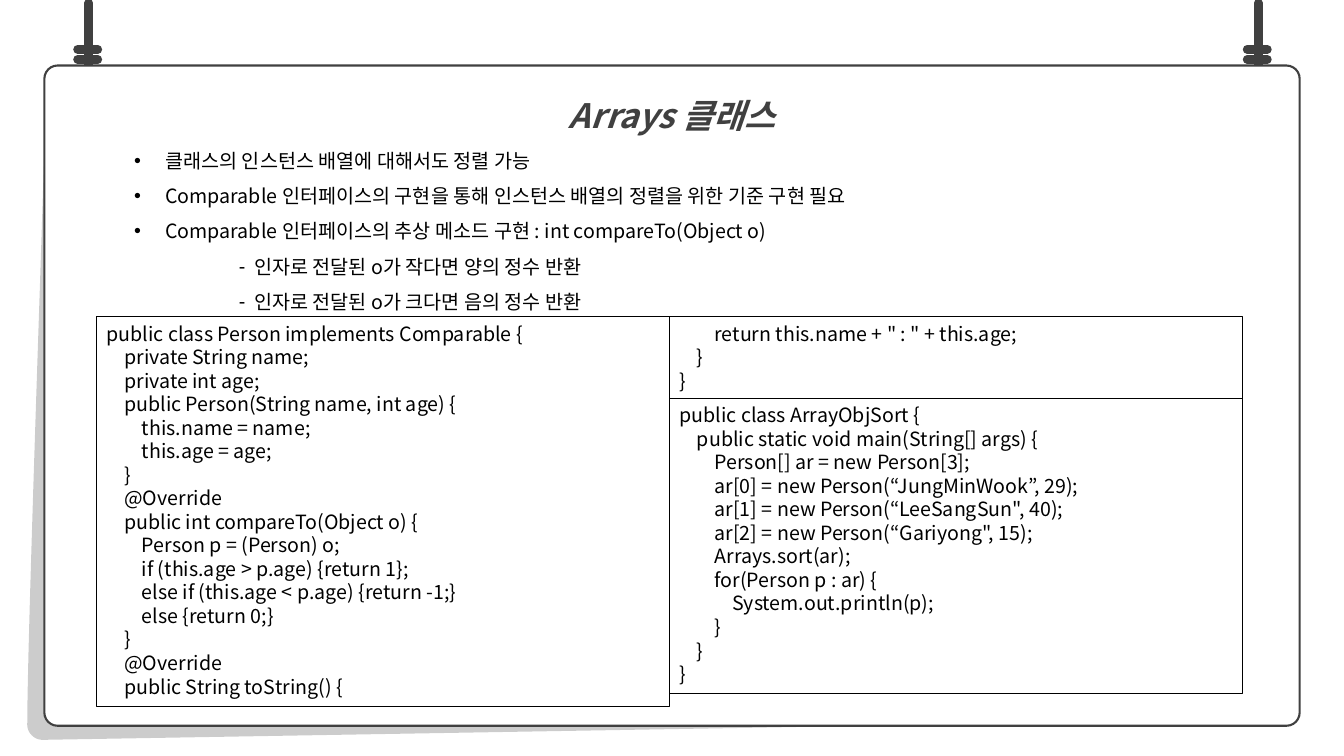
"""Build the slide on sorting arrays of class instances."""
from dataclasses import dataclass

from lxml.etree import SubElement
from pptx import Presentation
from pptx.dml.color import RGBColor
from pptx.enum.shapes import MSO_CONNECTOR, MSO_SHAPE
from pptx.enum.text import MSO_ANCHOR, MSO_AUTO_SIZE, PP_ALIGN
from pptx.oxml.ns import qn
from pptx.util import Emu, Pt

EMU_PER_PX = 9144
BLACK = RGBColor(0x00, 0x00, 0x00)
WHITE = RGBColor(0xFF, 0xFF, 0xFF)
GRAPHITE = RGBColor(0x40, 0x40, 0x40)
FONT = "Noto Sans CJK KR"

TITLE_FORMAT = {"name": FONT, "size": Pt(24), "bold": True, "italic": True}
TEXT_FORMAT = {"name": FONT, "size": Pt(14)}
LIST_SPACING = {"line_spacing": 1.5, "space_before": Pt(0)}
TITLE_SPACING = {**LIST_SPACING, "alignment": PP_ALIGN.CENTER}
CODE_SPACING = {"alignment": PP_ALIGN.LEFT}

ROPE_CENTRES = (88, 1248)
SHADOW_START = (232, 459)
SHADOW_SIDE = ((45, 110), (43, 198), (27, 633), (27, 719))
SHADOW_CORNER = ((27, 719), (27, 727), (34, 734), (42, 734))
SHADOW_TIP = (1275, 713)
CURVE_STEPS = 12

PERSON_CODE = """public class Person implements Comparable {
    private String name;
    private int age;
    public Person(String name, int age) {
        this.name = name;
        this.age = age;
    }
    @Override
    public int compareTo(Object o) {
        Person p = (Person) o;
        if (this.age > p.age) {return 1};
        else if (this.age < p.age) {return -1;}
        else {return 0;}
    }
    @Override
    public String toString() {"""
PERSON_END_CODE = """        return this.name + " : " + this.age;
    }
}"""
SORT_CODE = """public class ArrayObjSort {
    public static void main(String[] args) {
        Person[] ar = new Person[3];
        ar[0] = new Person(“JungMinWook”, 29);
        ar[1] = new Person(“LeeSangSun", 40);
        ar[2] = new Person(“Gariyong", 15);
        Arrays.sort(ar);
        for(Person p : ar) {
            System.out.println(p);
        }
    }
}"""


@dataclass(frozen=True)
class Bullet:
    """Marker and indents of one list level."""
    mark: str
    level: int
    margin: int
    hang: int


@dataclass(frozen=True)
class CodeBox:
    """Place and content of one code listing."""
    left: int
    top: int
    width: int
    height: int
    code: str


DOT = Bullet("•", 0, 81, 31)
DASH = Bullet("-", 1, 169, 15)
ITEMS = (
    (DOT, "클래스의 인스턴스 배열에 대해서도 정렬 가능"),
    (DOT, "Comparable 인터페이스의 구현을 통해 인스턴스 배열의 정렬을 위한 기준 구현 필요"),
    (DOT, "Comparable 인터페이스의 추상 메소드 구현 : int compareTo(Object o)"),
    (DASH, "인자로 전달된 o가 작다면 양의 정수 반환"),
    (DASH, "인자로 전달된 o가 크다면 음의 정수 반환"),
)
CODE_BOXES = (
    CodeBox(96, 314, 568, 387, PERSON_CODE),
    CodeBox(664, 314, 568, 81, PERSON_END_CODE),
    CodeBox(664, 395, 568, 293, SORT_CODE),
)


def px(*lengths: float) -> list[Emu]:
    """Turn lengths in px into EMU."""
    return [Emu(round(length * EMU_PER_PX)) for length in lengths]


def place(shape, left: int, top: int, width: int, height: int) -> None:
    """Move and size a shape."""
    shape.left, shape.top, shape.width, shape.height = px(left, top, width, height)


def apply(target, values: dict) -> None:
    """Set every attribute named in a dict of format values."""
    for name, value in values.items():
        setattr(target, name, value)


def format_text(frame, font_values: dict, spacing: dict, colour: RGBColor) -> None:
    """Format all paragraphs and runs of a text frame."""
    for para in frame.paragraphs:
        apply(para, spacing)
        for span in para.runs:
            apply(span.font, font_values)
            span.font.color.rgb = colour
            SubElement(span.font._element, qn("a:ea"), typeface=FONT)


def curve(points: tuple) -> list[tuple]:
    """Return points along a cubic curve."""
    def at(t: float, axis: int) -> float:
        a, b, c, d = (point[axis] for point in points)
        u = 1 - t
        return a * u**3 + 3 * b * u * u * t + 3 * c * u * t * t + d * t**3

    return [(at(i / CURVE_STEPS, 0), at(i / CURVE_STEPS, 1)) for i in range(CURVE_STEPS + 1)]


def draw_card_shadow(page) -> None:
    """Draw the translucent shadow under the card."""
    outline = page.shapes.build_freeform(*px(*SHADOW_START), scale=1.0)
    points = [*curve(SHADOW_SIDE), *curve(SHADOW_CORNER), SHADOW_TIP]
    outline.add_line_segments([px(*point) for point in points], close=True)
    shape = outline.convert_to_shape()
    shape.shadow.inherit = False
    shape.fill.solid()
    shape.fill.fore_color.rgb = BLACK
    colour = shape.element.spPr.find(f"{qn('a:solidFill')}/{qn('a:srgbClr')}")
    SubElement(colour, qn("a:alpha"), val="20000")
    shape.line.fill.background()


def draw_rope(page, centre: int) -> None:
    """Draw a hanging rope with its two knots."""
    knots = [(centre + 9, y, centre - 11, y) for y in (59, 49)]
    for ends in [(centre, 82, centre, 3), *knots]:
        rope = page.shapes.add_connector(MSO_CONNECTOR.STRAIGHT, *px(*ends))
        rope.line.color.rgb = GRAPHITE
        rope.line.width = Pt(6.25)
        rope.line._get_or_add_ln().set("cap", "rnd")
        SubElement(rope.element.spPr, qn("a:effectLst"))


def draw_card(page) -> None:
    """Draw the white rounded card."""
    card = page.shapes.add_shape(MSO_SHAPE.ROUNDED_RECTANGLE, *px(44, 65, 1245, 655))
    card.adjustments[0] = 0.02
    card.shadow.inherit = False
    card.fill.solid()
    card.fill.fore_color.rgb = WHITE
    card.line.color.rgb = GRAPHITE
    card.line.width = Pt(1.5)


def write_title(title) -> None:
    """Fill the title placeholder and bring it above the card."""
    place(title, 333, 69, 667, 63)
    frame = title.text_frame
    frame.text = "Arrays 클래스"
    apply(frame, {"vertical_anchor": MSO_ANCHOR.TOP, "auto_size": MSO_AUTO_SIZE.NONE})
    format_text(frame, TITLE_FORMAT, TITLE_SPACING, GRAPHITE)
    title.element.getparent().append(title.element)


def write_list(body) -> None:
    """Fill the body placeholder and bring it above the card."""
    place(body, 83, 136, 1206, 178)
    frame = body.text_frame
    frame.text = "\n".join(text for _, text in ITEMS)
    apply(frame, {"margin_left": 0, "margin_top": 0, "margin_right": 0, "margin_bottom": 0,
                  "vertical_anchor": MSO_ANCHOR.TOP, "auto_size": MSO_AUTO_SIZE.NONE})
    for para, (bullet, _) in zip(frame.paragraphs, ITEMS):
        para.level = bullet.level
        properties = para._p.get_or_add_pPr()
        margin, indent = px(bullet.margin, -bullet.hang)
        properties.set("marL", str(margin))
        properties.set("indent", str(indent))
        SubElement(properties, qn("a:buFont"), typeface="Arial")
        SubElement(properties, qn("a:buChar"), char=bullet.mark)
    format_text(frame, TEXT_FORMAT, LIST_SPACING, BLACK)
    body.element.getparent().append(body.element)


def draw_code(page, item: CodeBox) -> None:
    """Draw one framed code listing."""
    bounds = px(item.left, item.top, item.width, item.height)
    box = page.shapes.add_shape(MSO_SHAPE.RECTANGLE, *bounds)
    box.shadow.inherit = False
    box.fill.background()
    box.line.color.rgb = BLACK
    box.line.width = Pt(0.75)
    frame = box.text_frame
    frame.text = item.code
    apply(frame, {"word_wrap": True, "vertical_anchor": MSO_ANCHOR.TOP,
                  "auto_size": MSO_AUTO_SIZE.SHAPE_TO_FIT_TEXT})
    format_text(frame, TEXT_FORMAT, CODE_SPACING, BLACK)


def main() -> None:
    """Build and save the deck."""
    deck = Presentation()
    deck.slide_width, deck.slide_height = px(1333, 750)
    page = deck.slides.add_slide(deck.slide_layouts[1])
    title, body = page.placeholders
    draw_card_shadow(page)
    for centre in ROPE_CENTRES:
        draw_rope(page, centre)
    draw_card(page)
    write_list(body)
    write_title(title)
    for item in CODE_BOXES:
        draw_code(page, item)
    deck.save("out.pptx")


if __name__ == "__main__":
    main()
